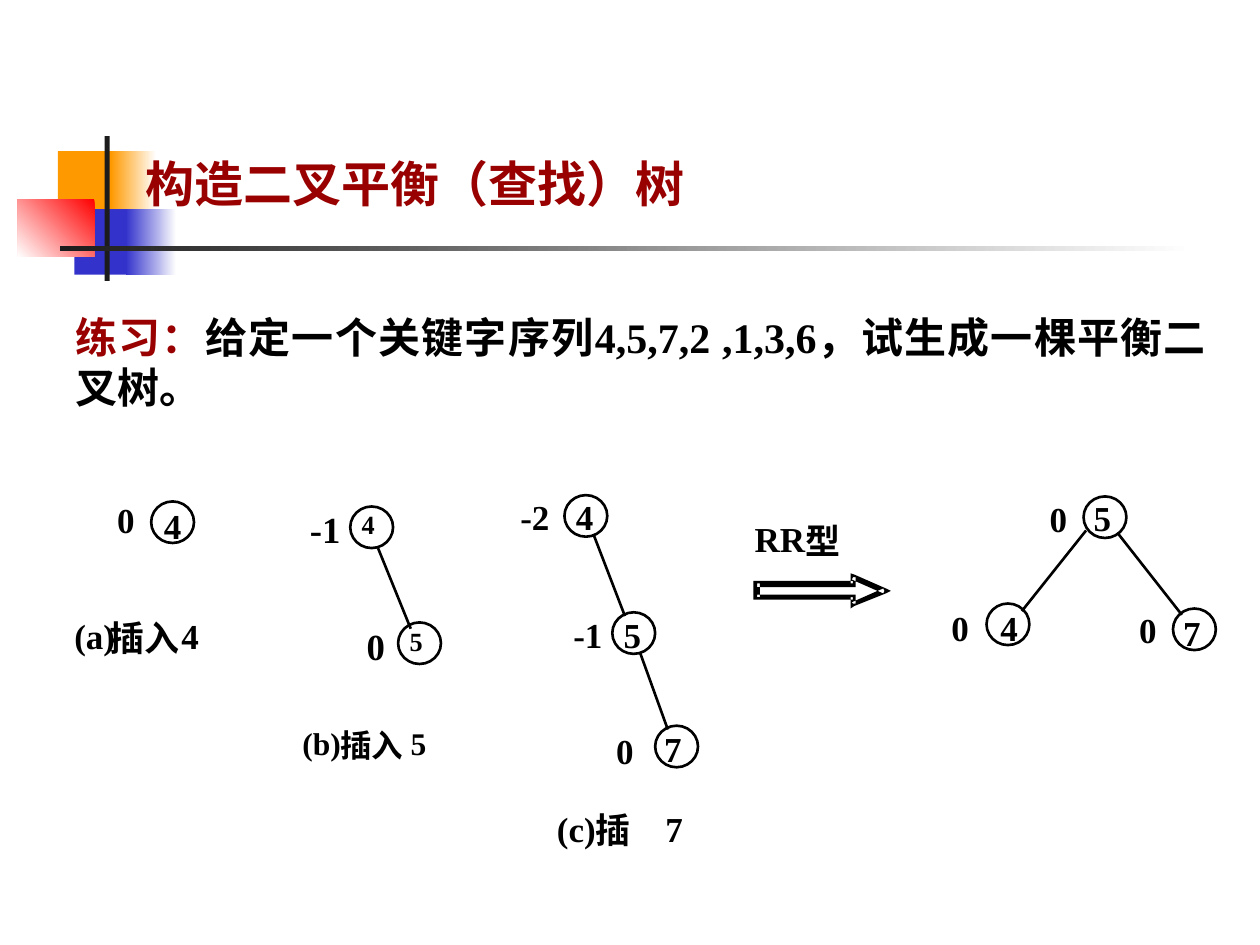
"""Build a slide on constructing a balanced binary search tree."""
import pptx
import pptx.dml.color
import pptx.enum.shapes
import pptx.enum.text
import pptx.oxml.ns
import pptx.util
from lxml import etree
from pptx.util import Inches

COLORS = {"black": "000000", "white": "FFFFFF", "title": "990000", "orange": "FF9900",
          "blue": "3333CC", "red": "FF0000", "bar": "1C1C1C"}
LATIN, CHINESE = "Times New Roman", "Noto Sans CJK SC"
NODE_WIDTH, NODE_HEIGHT = 0.34, 0.33

TITLE = [("构造二叉平衡（查找）树", "title")]
EXERCISE = [("练习：", "title"), ("给定一个关键字序列4,5,7,2 ,1,3,6，试生成一棵平衡二叉树。", "black")]

DECORATIONS = [
    (0.46, 1.2, 0.48, 0.52, ["orange"], 0),
    (0.88, 1.2, 0.36, 0.52, ["white", "orange"], 180),
    (0.59, 1.66, 0.46, 0.52, ["blue"], 0),
    (1, 1.66, 0.4, 0.52, ["white", "blue"], 180),
    (0.14, 1.58, 0.61, 0.46, ["red", "white"], 225),
    (0.83, 1.08, 0.04, 1.15, ["bar"], 0),
    (0.48, 1.95, 9, 0.04, ["white", "bar"], 180),
]

TREES = [
    {"key_size": 20, "balance_size": 20,
     "nodes": [("4", 1.2, 3.98, 1.3, 4)],
     "balances": [("0", 0.93, 3.96)],
     "edges": [],
     "caption_size": 20,
     "caption": [("(a)", 0.59, 4.88), ("插入", 0.87, 4.89), ("4", 1.44, 4.88)]},
    {"key_size": 15, "balance_size": 21,
     "nodes": [("4", 2.78, 4.02, 2.87, 4.03), ("5", 3.16, 4.94, 3.25, 4.96)],
     "balances": [("-1", 2.46, 4.02), ("0", 2.91, 4.95)],
     "edges": [(3, 4.35, 3.26, 4.99)],
     "caption_size": 18,
     "caption": [("(b)", 2.4, 5.75), ("插入", 2.7, 5.76), ("5", 3.26, 5.75)]},
    {"key_size": 20, "balance_size": 20,
     "nodes": [("4", 4.48, 3.93, 4.57, 3.93), ("5", 4.86, 4.86, 4.95, 4.87),
               ("7", 5.2, 5.76, 5.27, 5.77)],
     "balances": [("-2", 4.13, 3.93), ("-1", 4.55, 4.87), ("0", 4.89, 5.79)],
     "edges": [(4.71, 4.24, 4.96, 4.89), (5.08, 5.18, 5.3, 5.79)],
     "caption_size": 20,
     "caption": [("(c)", 4.42, 6.41), ("插", 4.73, 6.42), ("7", 5.28, 6.41)]},
    {"key_size": 20, "balance_size": 20,
     "nodes": [("5", 8.6, 3.94, 8.68, 3.94), ("4", 7.83, 4.79, 7.94, 4.81),
               ("7", 9.31, 4.83, 9.39, 4.85)],
     "balances": [("0", 8.33, 3.95), ("0", 7.55, 4.81), ("0", 9.04, 4.83)],
     "edges": [(8.62, 4.21, 8.11, 4.85), (8.87, 4.23, 9.38, 4.88)],
     "caption_size": 20,
     "caption": [("RR", 5.99, 4.11), ("型", 6.39, 4.12)]},
]

ARROW_BODY = [(6.77, 4.58), (6.77, 4.63), (6, 4.63), (6, 4.74), (6.77, 4.74), (6.77, 4.79), (7.02, 4.69)]
ARROW_OUTER = [(6.75, 4.63), (6.77, 4.63), (6.77, 4.61), (6.01, 4.61), (5.98, 4.61), (5.98, 4.63),
               (5.98, 4.74), (5.98, 4.76), (6.01, 4.76), (6.77, 4.76), (6.77, 4.74), (6.75, 4.74),
               (6.75, 4.79), (6.75, 4.83), (6.78, 4.81), (7.03, 4.71), (7.07, 4.69), (7.03, 4.67),
               (6.78, 4.56), (6.75, 4.55), (6.75, 4.58)]
ARROW_INNER = [(6.79, 4.58), (6.77, 4.58), (6.76, 4.6), (7.01, 4.71), (7.02, 4.69), (7.01, 4.67),
               (6.76, 4.78), (6.77, 4.79), (6.79, 4.79), (6.79, 4.74), (6.79, 4.72), (6.77, 4.72),
               (6.01, 4.72), (6.01, 4.74), (6.03, 4.74), (6.03, 4.63), (6.01, 4.63), (6.01, 4.66),
               (6.77, 4.66), (6.79, 4.66), (6.79, 4.63)]


def color(name):
    return pptx.dml.color.RGBColor.from_string(COLORS[name])


def add_text(slide, runs, left, top, width, height, size=20, inset=(0, 0), wrap=False, align=None):
    box = slide.shapes.add_textbox(Inches(left), Inches(top), Inches(width), Inches(height))
    frame = box.text_frame
    frame.word_wrap = wrap
    frame.auto_size = pptx.enum.text.MSO_AUTO_SIZE.NONE
    frame.margin_left = frame.margin_right = Inches(inset[0])
    frame.margin_top = frame.margin_bottom = Inches(inset[1])
    frame.paragraphs[0].alignment = align
    for text, color_name in runs:
        run = frame.paragraphs[0].add_run()
        run.text = text
        run.font.size = pptx.util.Pt(size)
        run.font.bold = True
        run.font.color.rgb = color(color_name)
        run.font.name = LATIN
        east_asian = etree.SubElement(run.font._element, pptx.oxml.ns.qn("a:ea"))
        east_asian.set("typeface", CHINESE)


def add_label(slide, text, left, top, size):
    em = size / 72
    width = sum(em if ord(letter) > 255 else em / 2 for letter in text)
    add_text(slide, [(text, "black")], left, top, width, 1.2 * em, size=size)


def style(shape, fills, angle=0):
    shape.shadow.inherit = False
    shape.line.fill.background()
    if len(fills) == 1:
        shape.fill.solid()
        shape.fill.fore_color.rgb = color(fills[0])
        return
    shape.fill.gradient()
    shape.fill.gradient_angle = angle
    for stop, position, name in zip(shape.fill.gradient_stops, (0, 1), fills):
        stop.position = position
        stop.color.rgb = color(name)


def add_outline(slide, contours, fill):
    scaled = [[(Inches(x), Inches(y)) for x, y in contour] for contour in contours]
    builder = slide.shapes.build_freeform(*scaled[0][0])
    for index, contour in enumerate(scaled):
        if index:
            builder.move_to(*contour[0])
        builder.add_line_segments(contour[1:], close=True)
    style(builder.convert_to_shape(), [fill])


def set_stroke(shape):
    shape.line.color.rgb = color("black")
    shape.line.width = pptx.util.Pt(1.5)


def add_tree(slide, tree):
    for edge in tree["edges"]:
        connector = slide.shapes.add_connector(
            pptx.enum.shapes.MSO_CONNECTOR.STRAIGHT, *map(Inches, edge))
        set_stroke(connector)
        etree.SubElement(connector._element.spPr, pptx.oxml.ns.qn("a:effectLst"))
    for key, left, top, key_left, key_top in tree["nodes"]:
        node = slide.shapes.add_shape(
            pptx.enum.shapes.MSO_SHAPE.OVAL,
            *map(Inches, (left, top, NODE_WIDTH, NODE_HEIGHT)))
        node.shadow.inherit = False
        node.fill.background()
        set_stroke(node)
        add_label(slide, key, key_left, key_top, tree["key_size"])
    for part, size in (("balances", "balance_size"), ("caption", "caption_size")):
        for text, left, top in tree[part]:
            add_label(slide, text, left, top, tree[size])


def main():
    presentation = pptx.Presentation()
    presentation.slide_width, presentation.slide_height = Inches(10), Inches(7.5)
    slide = presentation.slides.add_slide(presentation.slide_layouts[6])
    for *place, fills, angle in DECORATIONS:
        rectangle = slide.shapes.add_shape(
            pptx.enum.shapes.MSO_SHAPE.RECTANGLE, *map(Inches, place))
        style(rectangle, fills, angle)
    add_text(slide, EXERCISE, 0.5, 2.42, 9.17, 0.9, size=24, inset=(0.1, 0.05), wrap=True,
             align=pptx.enum.text.PP_ALIGN.JUSTIFY)
    add_text(slide, TITLE, 1.06, 1.17, 4.57, 0.57, size=28, inset=(0.1, 0.05))
    add_outline(slide, [ARROW_BODY], "white")
    add_outline(slide, [ARROW_OUTER, ARROW_INNER], "black")
    for tree in TREES:
        add_tree(slide, tree)
    presentation.save("out.pptx")


if __name__ == "__main__":
    main()
